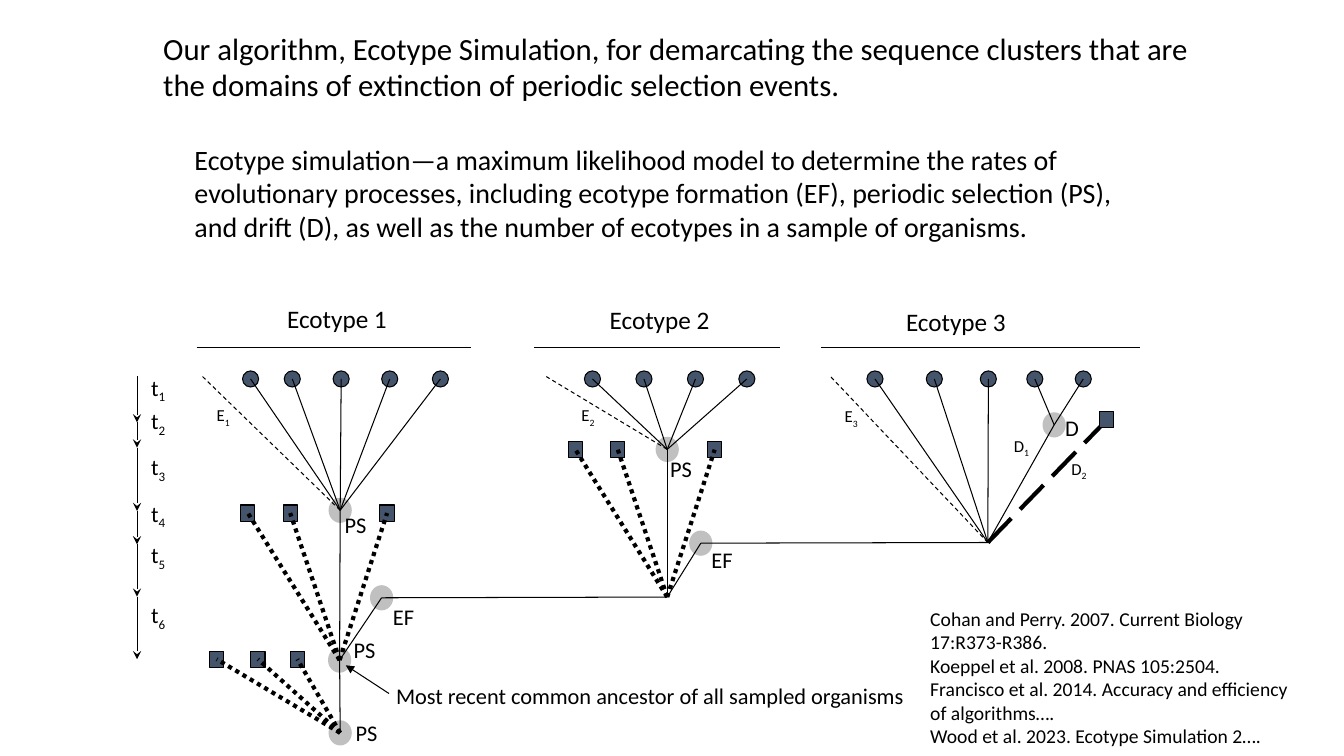
import pptx
import pptx.util
import pptx.dml.color
import pptx.enum.dml
import pptx.enum.shapes
import pptx.enum.text
import pptx.oxml.ns
import lxml.etree

Pt = pptx.util.Pt
Dash = pptx.enum.dml.MSO_LINE
Kind = pptx.enum.shapes.MSO_SHAPE
Fit = pptx.enum.text.MSO_AUTO_SIZE

# Content; all lengths are points
TITLE = ("Our algorithm, Ecotype Simulation, for demarcating the sequence clusters "
         "that are the domains of extinction of periodic selection events.")
INTRO = ("Ecotype simulation—a maximum likelihood model to determine the rates of "
         "evolutionary processes, including ecotype formation (EF), periodic selection "
         "(PS), and drift (D), as well as the number of ecotypes in a sample of organisms.")
PAPERS = [
    "Cohan and Perry. 2007. Current Biology 17:R373-R386.",
    "Koeppel et al. 2008. PNAS 105:2504.",
    "Francisco et al. 2014. Accuracy and efficiency of algorithms….",
    "Wood et al. 2023. Ecotype Simulation 2….",
]
TITLE_BOX = (109.4, 17.3, 780.5, 60.5)
INTRO_BOX = (131.8, 97.9, 680.4, 100.8)
PAPER_BOX = (657.4, 429.8, 273.6, 108.7)

NODES = {
    "root": (243, 523.5), "mrca": (242.6, 471.5), "split1": (272.6, 427),
    "ps1": (243, 364.5), "base2": (476.6, 426.5), "ps2": (476.6, 321),
    "split2": (500.6, 388), "base3": (705.6, 387.5), "drift": (753, 303.5),
}
HALOS = ["root", "mrca", "ps2", "split1", "ps1", "drift", "split2"]
TRUNK = [("root", "mrca"), ("mrca", "ps1"), ("mrca", "split1"),
         ("split1", "base2"), ("base2", "ps2"), ("base2", "split2"),
         ("split2", "base3"), ("base3", "drift")]

LEAF_Y = 270.7
LEAVES = {  # node: x of each living sample
    "ps1": [179, 208.8, 243.7, 278.4, 314.6],
    "ps2": [423.2, 460, 496.8, 533.5],
    "base3": [625, 667.4, 706],
    "drift": [739.2, 773.8],
}
SIDE = [-65.5, -35.3, 33.9]
LOST = {  # node: x offsets and y of the purged lines
    "mrca": (SIDE, 366.5),
    "base2": (SIDE, 321.2),
    "root": ([-88.2, -58.7, -30.6], 470.9),
}
DRIFTED = (790.6, 300)
STRAY_Y = 269
STRAYS = {"ps1": 144.7, "ps2": 390.2, "base3": 593.3}

HEADS = [  # name, left, top, bar start, bar end
    ("Ecotype 1", 198, 213.1, 140.4, 336.2),
    ("Ecotype 2", 428.4, 213.8, 381.6, 557.3),
    ("Ecotype 3", 640.1, 215.3, 586.8, 814.3),
]
BAR_Y = 248.4
MARKS = [  # text, subscript, left, top
    ("PS", "", 239, 361.4), ("PS", "", 471.6, 321.8),
    ("PS", "", 245.5, 450.7), ("PS", "", 247, 509.8),
    ("EF", "", 273.6, 427), ("EF", "", 501.1, 386.6),
    ("D", "", 753.8, 292.3),
]
NOTES = [
    ("D", "1", 717.1, 307.4), ("D", "2", 758.2, 324),
    ("E", "1", 147.6, 285.8), ("E", "2", 408.2, 285.8), ("E", "3", 596.2, 286.6),
]
CALLOUT = "Most recent common ancestor of all sampled organisms"
TIME_X = 97.9
TICKS = [268.6, 301.7, 319.7, 365, 388.8, 426.2, 470.9]
TIME_TOPS = [263.5, 287.3, 320.4, 353.5, 383, 426.2]

THEME = {
    "font": "Calibri", "ink": "000000", "halo": "C0C0C0", "leaf": "44546A",
    "title": 22, "intro": 20, "head": 18, "mark": 16, "paper": 14, "note": 12,
    "thin": 0.75, "bar": 1, "thick": 3,
}

deck = pptx.Presentation()
deck.slide_width, deck.slide_height = Pt(960), Pt(540)
slide = deck.slides.add_slide(deck.slide_layouts[5])


def tint(name):
    return pptx.dml.color.RGBColor.from_string(THEME[name])


def put(obj, **values):
    for key, val in values.items():
        setattr(obj, key, val)


def write(shape, paras, size, wrap=True, fit=Fit.SHAPE_TO_FIT_TEXT):
    """Fill a shape; each paragraph is a (text, subscript) pair."""
    frame = shape.text_frame
    put(frame, word_wrap=wrap, auto_size=fit,
        vertical_anchor=pptx.enum.text.MSO_ANCHOR.TOP)
    for i, pair in enumerate(paras):
        para = frame.add_paragraph() if i else frame.paragraphs[0]
        put(para, alignment=pptx.enum.text.PP_ALIGN.LEFT, line_spacing=1.0,
            space_before=Pt(0))
        for low, text in enumerate(pair):
            if text:
                run = para.add_run()
                run.text = text
                put(run.font, name=THEME["font"], size=Pt(THEME[size]))
                run.font.color.rgb = tint("ink")
                if low:
                    run.font._element.set("baseline", "-25000")


def label(box, paras, size, **how):
    write(slide.shapes.add_textbox(*map(Pt, box)), paras, size, **how)


def line(start, end, width="thin", dash=None, tip=None):
    link = slide.shapes.add_connector(
        pptx.enum.shapes.MSO_CONNECTOR.STRAIGHT, *map(Pt, (*start, *end)))
    put(link.line, width=Pt(THEME[width]), dash_style=dash)
    link.line.color.rgb = tint("ink")
    props = link._element.spPr
    if tip:
        lxml.etree.SubElement(link.line._get_or_add_ln(),
                              pptx.oxml.ns.qn("a:tailEnd"), type=tip)
    lxml.etree.SubElement(props, pptx.oxml.ns.qn("a:effectLst"))


def spot(mid, kind, wide, high, fill, edge=True):
    """Draw a shape centred on a point."""
    shape = slide.shapes.add_shape(
        kind, *map(Pt, (mid[0] - wide / 2, mid[1] - high / 2, wide, high)))
    shape.shadow.inherit = False
    shape.fill.solid()
    shape.fill.fore_color.rgb = tint(fill)
    if edge:
        shape.line.width = Pt(THEME["thin"])
        shape.line.color.rgb = tint("ink")
    else:
        shape.line.fill.background()


def square(mid):
    spot(mid, Kind.RECTANGLE, 10.1, 11.5, "leaf")


# Words
title = slide.shapes.title
put(title, **dict(zip(("left", "top", "width", "height"), map(Pt, TITLE_BOX))))
write(title, [(TITLE,)], "title", fit=Fit.NONE)
label(INTRO_BOX, [(INTRO,)], "intro")
label(PAPER_BOX, [(paper,) for paper in PAPERS], "paper")

# Tree
for name in HALOS:
    spot(NODES[name], Kind.OVAL, 16.6, 18, "halo", edge=False)
for name, row in LEAVES.items():
    for x in row:
        spot((x, LEAF_Y), Kind.OVAL, 11.5, 11.5, "leaf")
        line(NODES[name], (x, LEAF_Y))
for name, (row, y) in LOST.items():
    for shift in row:
        leaf = (NODES[name][0] + shift, y)
        square(leaf)
        line(NODES[name], leaf, "thick", Dash.ROUND_DOT)
for start, end in TRUNK:
    line(NODES[start], NODES[end])
for name, x in STRAYS.items():
    line(NODES[name], (x, STRAY_Y), dash=Dash.DASH)
line(NODES["base3"], DRIFTED, "thick", Dash.LONG_DASH)
square(DRIFTED)

# Labels
for name, x, y, start, end in HEADS:
    line((start, BAR_Y), (end, BAR_Y), "bar")
    label((x, y, 150, 125), [(name,)], "head", fit=Fit.NONE)
for text, low, x, y in MARKS:
    label((x, y, 31.5, 30), [(text, low)], "mark", wrap=False)
for text, low, x, y in NOTES:
    label((x, y, 26, 24.5), [(text, low)], "note", wrap=False)
label((275.8, 483.8, 394.6, 30), [(CALLOUT,)], "mark", wrap=False)
line((277.9, 495.4), (247, 475.2), tip="triangle")

# Time scale
for i, y in enumerate(TIME_TOPS):
    line((TIME_X, TICKS[i]), (TIME_X, TICKS[i + 1]), tip="stealth")
    label((100.8, y, 26, 30), [("t", str(i + 1))], "mark", wrap=False)

deck.save("out.pptx")
